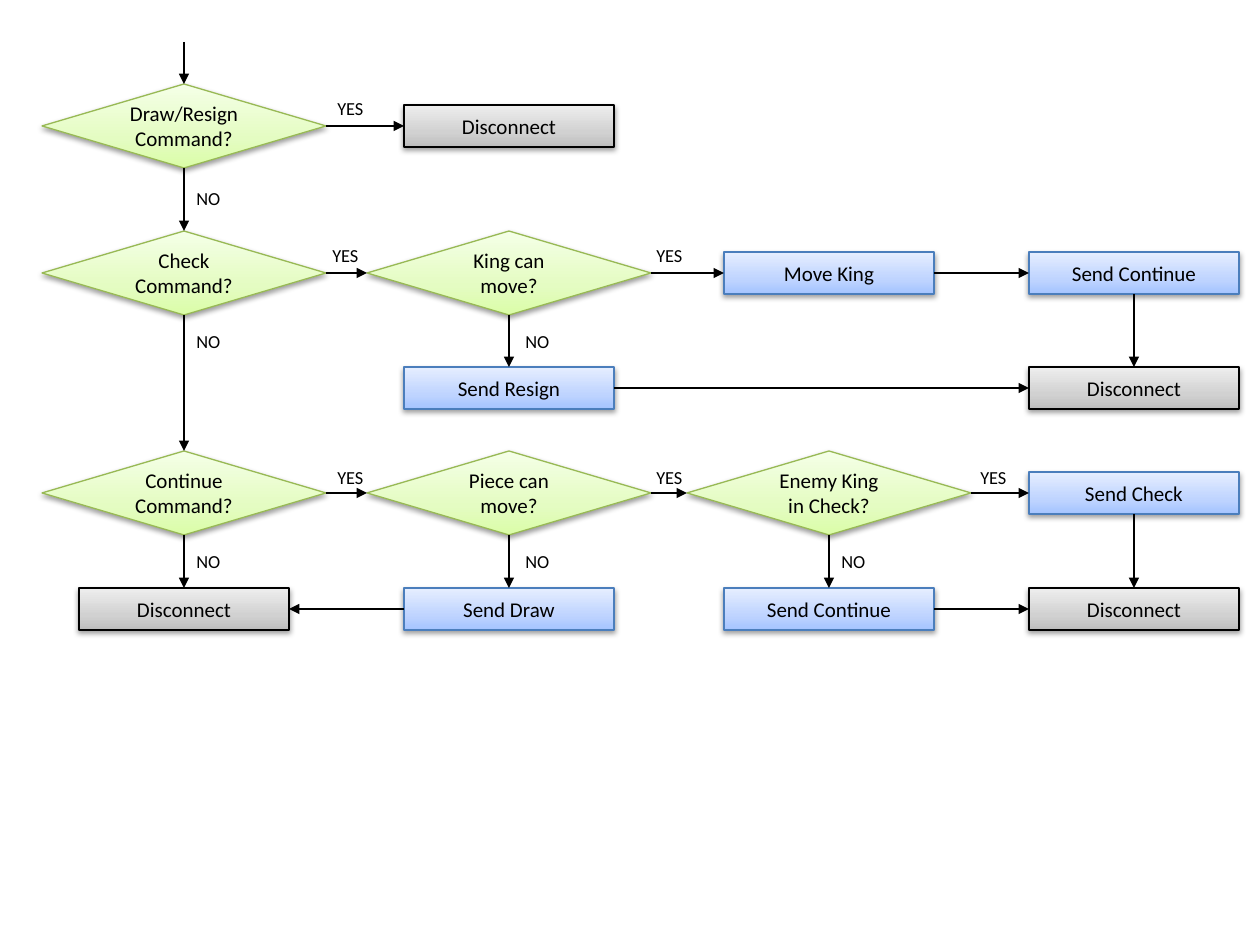
from pptx import Presentation
from pptx.dml.color import RGBColor as Rgb
from pptx.enum.shapes import MSO_CONNECTOR as Conn, MSO_SHAPE as Kind
from pptx.enum.text import MSO_AUTO_SIZE as Auto, MSO_ANCHOR as Anchor, PP_ALIGN as Align
from pptx.oxml.ns import qn
from pptx.util import Emu, Pt
from lxml.etree import SubElement as Sub

SCALE = 914400 // 126
FONT = "Calibri"
TOP, LEFT, DOWN, RIGHT = range(4)  # connection sites of a box or diamond

# Style: shape, width, height, line, gradient colours from bottom to top
STYLES = {
    "ask": (Kind.DIAMOND, 284, 84, "98B955", ("DAFDA7", "E4FCC2", "F5FFE7")),
    "act": (Kind.RECTANGLE, 210, 42, "4B7EBC", ("A4C4FF", "BFD4FF", "E6EEFF")),
    "end": (Kind.RECTANGLE, 210, 42, "000000", ("BDBDBD", "D1D1D1", "EEEEEE")),
}
STOPS = (0, 35, 100)

# Centres of the grid, relative to the chart box
COLS = (142, 467, 787, 1092)
ROWS = (84, 231, 346, 451, 567)

# (column, row): style, text
NODES = {
    (0, 0): ("ask", "Draw/Resign Command?"),
    (0, 1): ("ask", "Check Command?"),
    (0, 3): ("ask", "Continue Command?"),
    (1, 0): ("end", "Disconnect"),
    (0, 4): ("end", "Disconnect"),
    (1, 1): ("ask", "King can move?"),
    (1, 2): ("act", "Send Resign"),
    (3, 2): ("end", "Disconnect"),
    (2, 1): ("act", "Move King"),
    (3, 1): ("act", "Send Continue"),
    (1, 3): ("ask", "Piece can move?"),
    (2, 3): ("ask", "Enemy King in Check?"),
    (3, 4): ("end", "Disconnect"),
    (3, 3): ("act", "Send Check"),
    (2, 4): ("act", "Send Continue"),
    (1, 4): ("act", "Send Draw"),
}

# Start node, end node
LINKS = [
    ((0, 0), (0, 1)), ((0, 1), (0, 3)), ((0, 3), (0, 4)),
    ((1, 4), (0, 4)), ((2, 4), (3, 4)), ((3, 3), (3, 4)),
    ((2, 3), (3, 3)), ((2, 3), (2, 4)), ((1, 3), (2, 3)),
    ((1, 3), (1, 4)), ((0, 3), (1, 3)), ((1, 1), (1, 2)),
    ((1, 2), (3, 2)), ((1, 1), (2, 1)), ((2, 1), (3, 1)),
    ((3, 1), (3, 2)), ((0, 1), (1, 1)), ((0, 0), (1, 0)),
]

# Text, width, left and top corners relative to the chart box
TAGS = [
    ("YES", 52, [(602, 196), (278, 196), (283, 49), (283, 418), (602, 418), (926, 418)]),
    ("NO", 49, [(471, 282), (471, 502), (787, 502), (142, 502), (142, 282), (142, 139)]),
]


def px(num):
    return Emu(int(num * SCALE))


def color(code):
    return Rgb.from_string(code)


def write(para, text, size):
    run = para.add_run()
    run.text = text
    run.font.name = FONT
    run.font.size = Pt(size)
    run.font.color.rgb = color("000000")


def shade(shape, codes):
    fill = shape.fill
    fill.gradient()
    fill.gradient_angle = 90
    stops = shape._element.spPr.find(qn("a:gradFill")).find(qn("a:gsLst"))
    for old in list(stops):
        stops.remove(old)
    for pos, code in zip(STOPS, codes):
        stop = Sub(stops, qn("a:gs"), pos=str(pos * 1000))
        Sub(stop, qn("a:srgbClr"), val=code)


def drop(shape):
    shape.shadow.inherit = False
    fx = shape._element.spPr.find(qn("a:effectLst"))
    cast = Sub(fx, qn("a:outerShdw"), blurRad="40000", dist="20000",
               dir="5400000", rotWithShape="0")
    tint = Sub(cast, qn("a:srgbClr"), val="000000")
    Sub(tint, qn("a:alpha"), val="38000")


def node(slide, mid_x, mid_y, style, text):
    kind, wide, high, edge, codes = STYLES[style]
    shape = slide.shapes.add_shape(
        kind, px(mid_x - wide / 2), px(mid_y - high / 2), px(wide), px(high))
    shade(shape, codes)
    shape.line.color.rgb = color(edge)
    shape.line.width = Pt(0.75)
    drop(shape)
    frame = shape.text_frame
    frame.word_wrap = True
    frame.vertical_anchor = Anchor.MIDDLE
    para = frame.paragraphs[0]
    para.alignment = Align.CENTER
    write(para, text, 12)
    return shape


def arrow(slide, x1, y1, x2, y2):
    line = slide.shapes.add_connector(Conn.STRAIGHT, px(x1), px(y1), px(x2), px(y2))
    line.line.color.rgb = color("000000")
    line.line.width = Pt(0.75)
    Sub(line.line._get_or_add_ln(), qn("a:tailEnd"), type="triangle")
    Sub(line._element.spPr, qn("a:effectLst"))
    return line


def sides(start, end):
    if start[0] == end[0]:
        return DOWN, TOP
    return (RIGHT, LEFT) if start[0] < end[0] else (LEFT, RIGHT)


def tag(slide, x, y, wide, text):
    box = slide.shapes.add_textbox(px(x), px(y), px(wide), px(35))
    frame = box.text_frame
    frame.word_wrap = False
    frame.auto_size = Auto.SHAPE_TO_FIT_TEXT
    write(frame.paragraphs[0], text, 10.5)


def chart(slide, left, top):
    # Steps and questions
    made = {}
    for (col, row), (style, text) in NODES.items():
        made[col, row] = node(slide, left + COLS[col], top + ROWS[row], style, text)

    # Arrows between them
    for start, end in LINKS:
        line = arrow(slide, 0, 0, 0, 0)
        out, into = sides(start, end)
        line.begin_connect(made[start], out)
        line.end_connect(made[end], into)

    # Entry arrow
    entry = arrow(slide, left + COLS[0], top, left + COLS[0], top + 42)
    entry.end_connect(made[0, 0], TOP)

    # Answers
    for text, wide, spots in TAGS:
        for x, y in spots:
            tag(slide, left + x, top + y, wide, text)


deck = Presentation()
deck.slide_width, deck.slide_height = px(1260), px(945)
page = deck.slides.add_slide(deck.slide_layouts[6])
chart(page, 42, 42)
deck.save("out.pptx")
